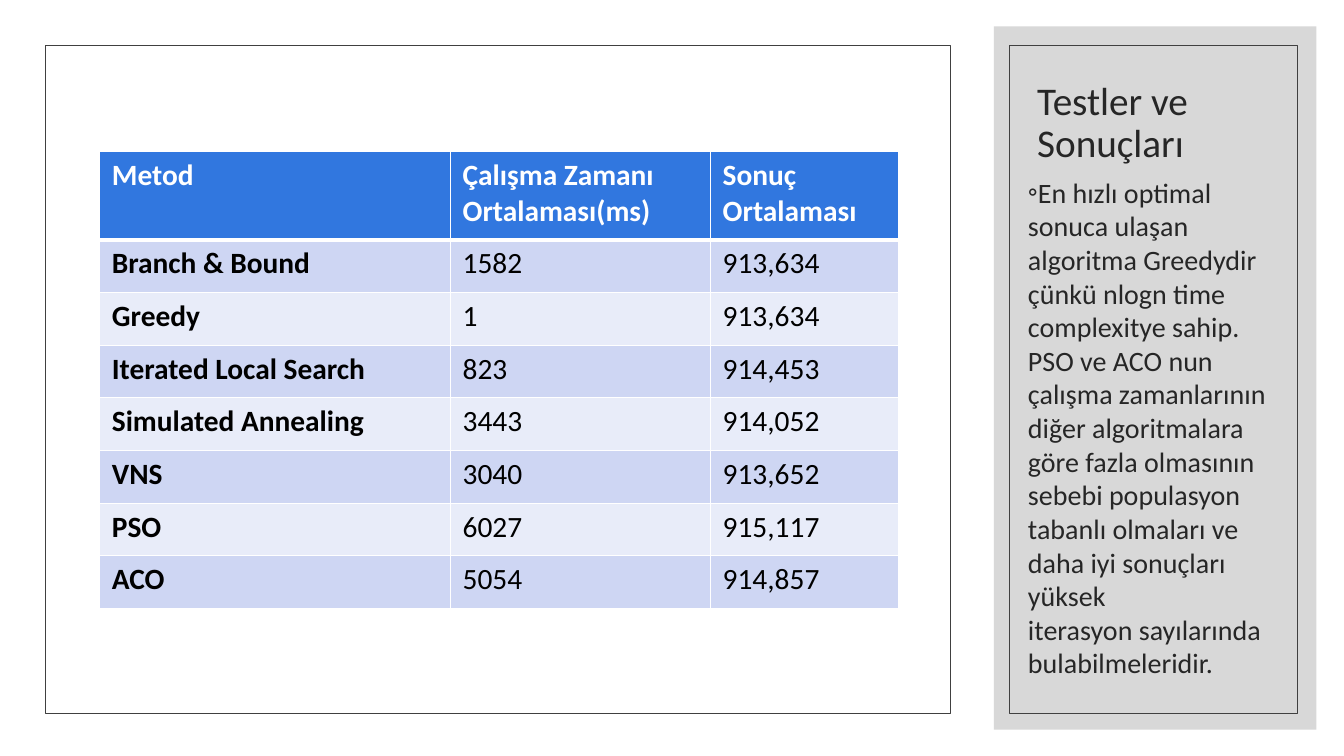
from dataclasses import dataclass

from lxml import etree
from pptx import Presentation
from pptx.dml.color import RGBColor
from pptx.enum.shapes import MSO_SHAPE
from pptx.enum.text import MSO_ANCHOR
from pptx.oxml.ns import qn
from pptx.util import Inches, Pt

RECT = MSO_SHAPE.RECTANGLE
TOP, BOTTOM = MSO_ANCHOR.TOP, MSO_ANCHOR.BOTTOM


@dataclass(frozen=True)
class Theme:
    """Colours, font and type sizes."""
    font: str = "Calibri"
    white: str = "FFFFFF"
    black: str = "000000"
    ink: str = "262626"
    line: str = "404040"
    panel: str = "BFBFBF"
    head: str = "3177DF"
    bands: tuple = ("CED6F3", "E8ECF9")
    title: int = 28
    body: int = 20
    cell: int = 21


T = Theme()
deck = Presentation()
deck.slide_width, deck.slide_height = Inches(13.333), Inches(7.5)
slide = deck.slides.add_slide(deck.slide_layouts[6])


def share(*parts):
    """Turn percent shares (x, y, w, h) of the slide into lengths."""
    sides = (deck.slide_width, deck.slide_height) * 2
    return [int(side * part / 100) for side, part in zip(sides, parts)]


def write(frame, text, size, color, bold=False, anchor=TOP, lead=None, after=0):
    """Put formatted text in a frame and return its paragraph."""
    frame.word_wrap = True
    frame.vertical_anchor = anchor
    para = frame.paragraphs[0]
    para.text = text
    para.line_spacing = lead
    para.space_after = Pt(after)
    for run in para.runs:
        run.font.name, run.font.size, run.font.bold = T.font, Pt(size), bold
        run.font.color.rgb = RGBColor.from_string(color)
    return para


# Backdrop, side panel and the two thin frames
boxes = [
    ((0, 0, 100, 100), T.white, None),
    ((3.38, 6, 67.35, 88.4), None, T.line),
    ((73.95, 3.5, 24, 93), T.panel, None),
    ((75.08, 6, 21.45, 88.4), None, T.line),
]
for place, fill, line in boxes:
    box = slide.shapes.add_shape(RECT, *share(*place))
    box.shadow.inherit = False
    if fill:
        box.fill.solid()
        box.fill.fore_color.rgb = RGBColor.from_string(fill)
    else:
        box.fill.background()
    if line:
        box.line.color.rgb = RGBColor.from_string(line)
        box.line.width = Pt(0.5)
    else:
        box.line.fill.background()
    if fill == T.panel:
        tint = box.fill._xPr.find(".//" + qn("a:srgbClr"))
        etree.SubElement(tint, qn("a:alpha"), val="60000")

# Title and comment
title = slide.shapes.add_textbox(*share(76.43, 8.93, 14.85, 13.73))
write(title.text_frame, "Testler ve Sonuçları", T.title, T.ink,
      anchor=BOTTOM, lead=0.9)

note = (
    "En hızlı optimal sonuca ulaşan algoritma Greedydir çünkü nlogn time "
    "complexitye sahip.\vPSO ve ACO nun çalışma zamanlarının diğer "
    "algoritmalara göre fazla olmasının sebebi populasyon "
    "tabanlı\u00a0olmaları ve daha iyi sonuçları yüksek "
    "iterasyon\u00a0sayılarında bulabilmeleridir."
)
body = slide.shapes.add_textbox(*share(75.75, 22.53, 20.4, 71.47))
para = write(body.text_frame, note, T.body, T.ink, after=6)
props = para._p.get_or_add_pPr()
props.set("marL", "0")
props.set("indent", str(-Inches(0.2)))
tone = etree.SubElement(props, qn("a:buClr"))
etree.SubElement(tone, qn("a:srgbClr"), val=T.ink)
etree.SubElement(props, qn("a:buFont"), typeface=T.font)
etree.SubElement(props, qn("a:buChar"), char="◦")

# Results table
rows = [
    ("Metod", "Çalışma Zamanı Ortalaması(ms)", "Sonuç Ortalaması"),
    ("Branch\u00a0&\u00a0Bound", "1582", "913,634"),
    ("Greedy", "1", "913,634"),
    ("Iterated\u00a0Local\u00a0Search\u00a0", "823", "914,453"),
    ("Simulated\u00a0Annealing", "3443", "914,052"),
    ("VNS", "3040", "913,652"),
    ("PSO", "6027", "915,117"),
    ("ACO", "5054", "914,857"),
]
cols = (26.1, 19.35, 13.95)
highs = [11.73] + [6.97] * (len(rows) - 1)
place = share(7.43, 20, sum(cols), sum(highs))
grid = slide.shapes.add_table(len(rows), len(cols), *place).table
for col, wide in zip(grid.columns, cols):
    col.width = share(wide)[0]
for r, (row, high) in enumerate(zip(rows, highs)):
    grid.rows[r].height = share(0, high)[1]
    for c, text in enumerate(row):
        cell = grid.cell(r, c)
        cell.margin_left = cell.margin_right = Inches(0.12)
        cell.margin_top = cell.margin_bottom = Inches(0.06)
        write(cell.text_frame, text, T.cell, T.black if r else T.white,
              bold=r == 0 or c == 0)
        edges = cell._tc.get_or_add_tcPr()
        for side in "LRTB":
            thick = (r, side) in ((0, "B"), (1, "T"))
            edge = etree.SubElement(edges, qn("a:ln" + side),
                                    w=str(Pt(3 if thick else 1)))
            paint = etree.SubElement(edge, qn("a:solidFill"))
            etree.SubElement(paint, qn("a:srgbClr"), val=T.white)
        cell.fill.solid()
        shade = T.bands[(r - 1) % 2] if r else T.head
        cell.fill.fore_color.rgb = RGBColor.from_string(shade)

deck.save("out.pptx")
